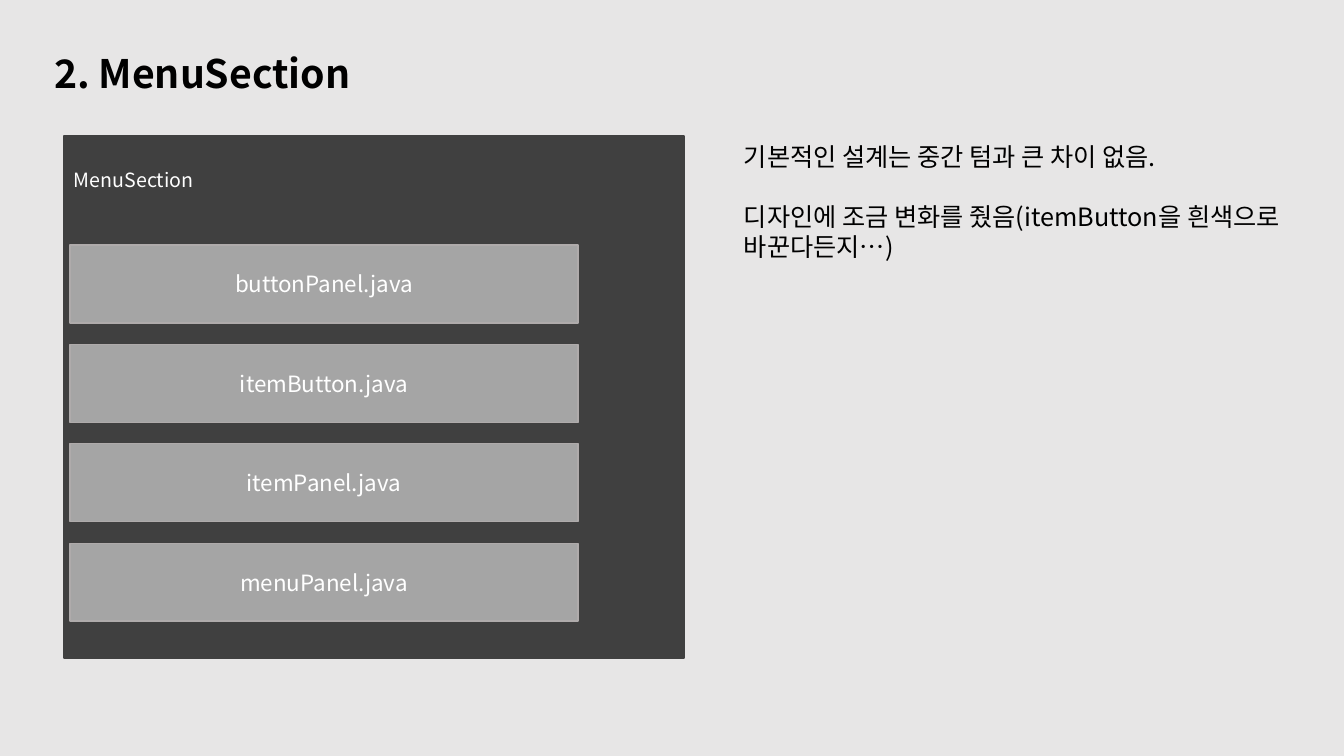
from pptx import Presentation
from pptx.dml.color import RGBColor
from pptx.enum.shapes import MSO_SHAPE
from pptx.enum.text import MSO_ANCHOR, PP_ALIGN
from pptx.util import Pt

EMU_PER_PX = 9071.43
FONT = "Noto Sans CJK KR"
BLACK = "000000"
WHITE = "FFFFFF"
FILES = ["buttonPanel.java", "itemButton.java", "itemPanel.java", "menuPanel.java"]
NOTES = [
    "기본적인 설계는 중간 텀과 큰 차이 없음.",
    "디자인에 조금 변화를 줬음(itemButton을 흰색으로 바꾼다든지…)",
]


def px(length):
    return round(length * EMU_PER_PX)


def color(value):
    return RGBColor.from_string(value)


def write(shape, lines, size, ink, bold=False, align=PP_ALIGN.LEFT,
          anchor=MSO_ANCHOR.TOP, gap=0):
    """Fill a shape with one paragraph per line, gap points apart."""
    frame = shape.text_frame
    frame.word_wrap = True
    frame.vertical_anchor = anchor
    frame.text = "\n".join(lines)
    for index, paragraph in enumerate(frame.paragraphs):
        paragraph.alignment = align
        paragraph.line_spacing = 1.0
        paragraph.space_before = Pt(gap if index else 0)
        paragraph.font.name = FONT
        paragraph.font.size = Pt(size)
        paragraph.font.bold = bold
        paragraph.font.color.rgb = color(ink)


def add_text(slide, left, top, width, height, lines, size, ink, gap=0):
    box = slide.shapes.add_textbox(px(left), px(top), px(width), px(height))
    write(box, lines, size, ink, gap=gap)


def add_rectangle(slide, left, top, width, height, fill, line):
    rectangle = slide.shapes.add_shape(
        MSO_SHAPE.RECTANGLE, px(left), px(top), px(width), px(height))
    rectangle.shadow.inherit = False
    rectangle.fill.solid()
    rectangle.fill.fore_color.rgb = color(fill)
    rectangle.line.color.rgb = color(line)
    rectangle.line.width = Pt(1)
    return rectangle


def place_title(slide, left, top, width, height):
    title = slide.shapes.title
    title.left, title.top = px(left), px(top)
    title.width, title.height = px(width), px(height)
    write(title, ["2. MenuSection"], 28, BLACK, bold=True)


def add_menu_panel(slide, left, top, width, height):
    """Draw the dark panel with its heading and one bar per file."""
    add_rectangle(slide, left, top, width, height, "404040", "404040")
    add_text(slide, left, top + 27, 454, 84, ["MenuSection"], 14, WHITE)
    for index, name in enumerate(FILES):
        bar = add_rectangle(slide, left + 6, top + 109 + index * 99.4, 508, 78,
                            "A5A5A5", "AFABAB")
        write(bar, [name], 16, WHITE, align=PP_ALIGN.CENTER,
              anchor=MSO_ANCHOR.MIDDLE)


def main():
    presentation = Presentation()
    presentation.slide_width = px(1344)
    presentation.slide_height = px(756)
    slide = presentation.slides.add_slide(presentation.slide_layouts[5])
    slide.background.fill.solid()
    slide.background.fill.fore_color.rgb = color("E7E6E6")
    add_menu_panel(slide, 64, 136, 620, 522)
    place_title(slide, 44, 44, 337, 57)
    add_text(slide, 734, 136, 582, 163, NOTES, 18, BLACK, gap=21.5)
    presentation.save("out.pptx")


if __name__ == "__main__":
    main()
